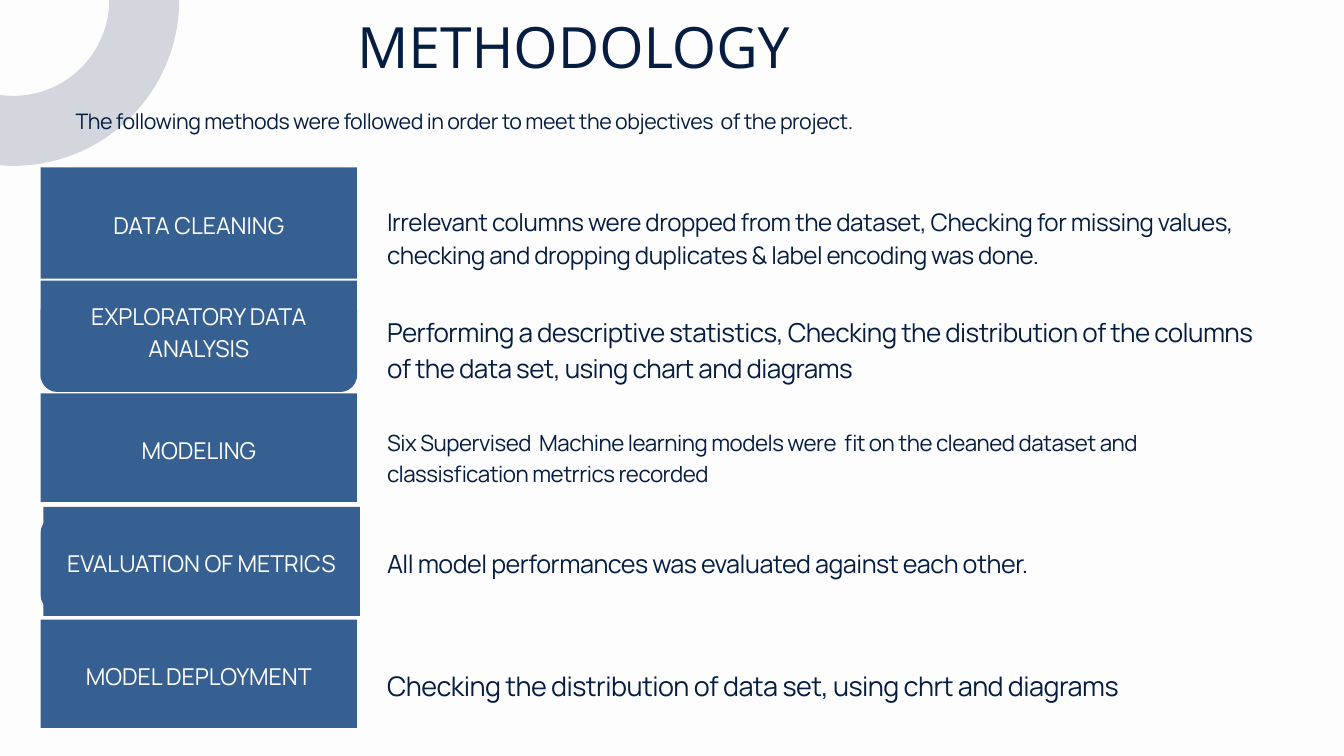
from typing import NamedTuple, Optional

from lxml import etree
from pptx import Presentation
from pptx import util as u
from pptx.dml.color import RGBColor
from pptx.enum import shapes, text
from pptx.oxml import ns

PX = 9525  # EMU per px, on a 1920 x 1080 px slide
PAPER = RGBColor(0xFD, 0xFD, 0xFD)
NAVY = RGBColor(0x05, 0x1D, 0x40)
BLUE = RGBColor(0x37, 0x60, 0x92)
WHITE = RGBColor(0xFF, 0xFF, 0xFF)

STEP_LEFT, STEP_WIDTH = 58, 452
CORNER_RADIUS = 24
BODY_LEFT, BODY_WIDTH = 553, 1260


class Box(NamedTuple):
    left: int
    top: int
    width: int
    height: int

    def emu(self) -> list[u.Emu]:
        return [u.Emu(side * PX) for side in self]


class Style(NamedTuple):
    size: float
    leading: float
    color: RGBColor = NAVY
    font: str = "Manrope"
    tracking: float = 0
    align: text.PP_ALIGN = text.PP_ALIGN.LEFT


class Step(NamedTuple):
    label: str
    label_box: Box
    description: str
    description_box: Box
    style: Style
    backing: Optional[Box] = None  # rounded card that shows behind the label


TITLE_STYLE = Style(61, 85.4, font="Open Sans")
INTRO_STYLE = Style(22.9, 32, tracking=-0.5)
LABEL_STYLE = Style(24.9, 34.8, WHITE, align=text.PP_ALIGN.CENTER)

STEPS = [
    Step("DATA CLEANING", Box(STEP_LEFT, 239, STEP_WIDTH, 159),
         "Irrelevant columns were dropped from the dataset, Checking for missing values, "
         "checking and dropping duplicates & label encoding was done.",
         Box(BODY_LEFT, 289, BODY_WIDTH, 96), Style(25.9, 36.2, tracking=-0.5)),
    Step("EXPLORATORY DATA ANALYSIS", Box(STEP_LEFT, 401, STEP_WIDTH, 140),
         "Performing a descriptive statistics, Checking the distribution of the columns "
         "of the data set, using chart and diagrams",
         Box(BODY_LEFT, 444, BODY_WIDTH, 106), Style(27.9, 39, tracking=-0.6),
         Box(STEP_LEFT, 420, STEP_WIDTH, 140)),
    Step("MODELING", Box(STEP_LEFT, 562, STEP_WIDTH, 155),
         "Six Supervised  Machine learning models were  fit on the cleaned dataset and "
         "classisfication metrrics recorded",
         Box(BODY_LEFT, 607, BODY_WIDTH, 88), Style(23.9, 33.5, tracking=-0.5)),
    Step("EVALUATION OF METRICS", Box(STEP_LEFT + 4, 724, STEP_WIDTH, 156),
         "All model performances was evaluated against each other.",
         Box(BODY_LEFT, 777, BODY_WIDTH, 51), Style(26.9, 37.6, tracking=-0.5),
         Box(STEP_LEFT, 737, STEP_WIDTH, 137)),
    Step("MODEL DEPLOYMENT", Box(STEP_LEFT, 885, STEP_WIDTH, 155),
         "Checking the distribution of data set, using chrt and diagrams",
         Box(BODY_LEFT, 948, BODY_WIDTH, 54), Style(28.9, 40.5, tracking=-0.6)),
]


def write(shape, words: str, style: Style, anchor=text.MSO_ANCHOR.TOP) -> None:
    frame = shape.text_frame
    frame.word_wrap = True
    frame.vertical_anchor = anchor
    frame.margin_left = frame.margin_top = frame.margin_right = frame.margin_bottom = 0
    paragraph = frame.paragraphs[0]
    run = paragraph.add_run()
    run.text = words
    paragraph.alignment = style.align
    paragraph.line_spacing = u.Pt(style.leading)
    paragraph.font.name = style.font
    paragraph.font.size = u.Pt(style.size)
    paragraph.font.color.rgb = style.color
    if style.tracking:
        run.font._element.set("spc", str(round(style.tracking * 100)))


def add_text(slide, box: Box, words: str, style: Style) -> None:
    passage = slide.shapes.add_textbox(*box.emu())
    write(passage, words, style)
    passage.text_frame.auto_size = text.MSO_AUTO_SIZE.SHAPE_TO_FIT_TEXT


def add_block(slide, box: Box, kind=shapes.MSO_SHAPE.RECTANGLE):
    block = slide.shapes.add_shape(kind, *box.emu())
    block.shadow.inherit = False
    block.fill.solid()
    block.fill.fore_color.rgb = BLUE
    block.line.fill.background()
    return block


def add_ring(slide, box: Box, color: RGBColor, width: float, opacity: int) -> None:
    ring = slide.shapes.add_shape(shapes.MSO_SHAPE.OVAL, *box.emu())
    ring.shadow.inherit = False
    ring.fill.background()
    ring.line.width = u.Pt(width)
    ring.line.color.rgb = color
    stroke = ring._element.spPr.find(".//" + ns.qn("a:srgbClr"))
    etree.SubElement(stroke, ns.qn("a:alpha"), val=str(opacity * 1000))


def add_step(slide, step: Step) -> None:
    if step.backing:
        card = add_block(slide, step.backing, shapes.MSO_SHAPE.ROUNDED_RECTANGLE)
        card.adjustments[0] = CORNER_RADIUS / step.backing.height
    label = add_block(slide, step.label_box)
    write(label, step.label, LABEL_STYLE, text.MSO_ANCHOR.MIDDLE)
    add_text(slide, step.description_box, step.description, step.style)


def main() -> None:
    deck = Presentation()
    deck.slide_width, deck.slide_height = u.Emu(1920 * PX), u.Emu(1080 * PX)
    slide = deck.slides.add_slide(deck.slide_layouts[5])
    slide.background.fill.solid()
    slide.background.fill.fore_color.rgb = PAPER

    # Heading
    title = slide.shapes.title
    title.left, title.top, title.width, title.height = Box(510, 0, 743, 108).emu()
    write(title, "METHODOLOGY", TITLE_STYLE)
    title.text_frame.auto_size = text.MSO_AUTO_SIZE.SHAPE_TO_FIT_TEXT

    # Corner ring and introduction
    add_ring(slide, Box(-168, -187, 374, 374), NAVY, 75, 16)
    add_text(slide, Box(108, 148, BODY_WIDTH, 42),
             "The following methods were followed in order to meet the objectives  of the project.",
             INTRO_STYLE)

    # Method steps
    for step in STEPS:
        add_step(slide, step)

    deck.save("out.pptx")


if __name__ == "__main__":
    main()
